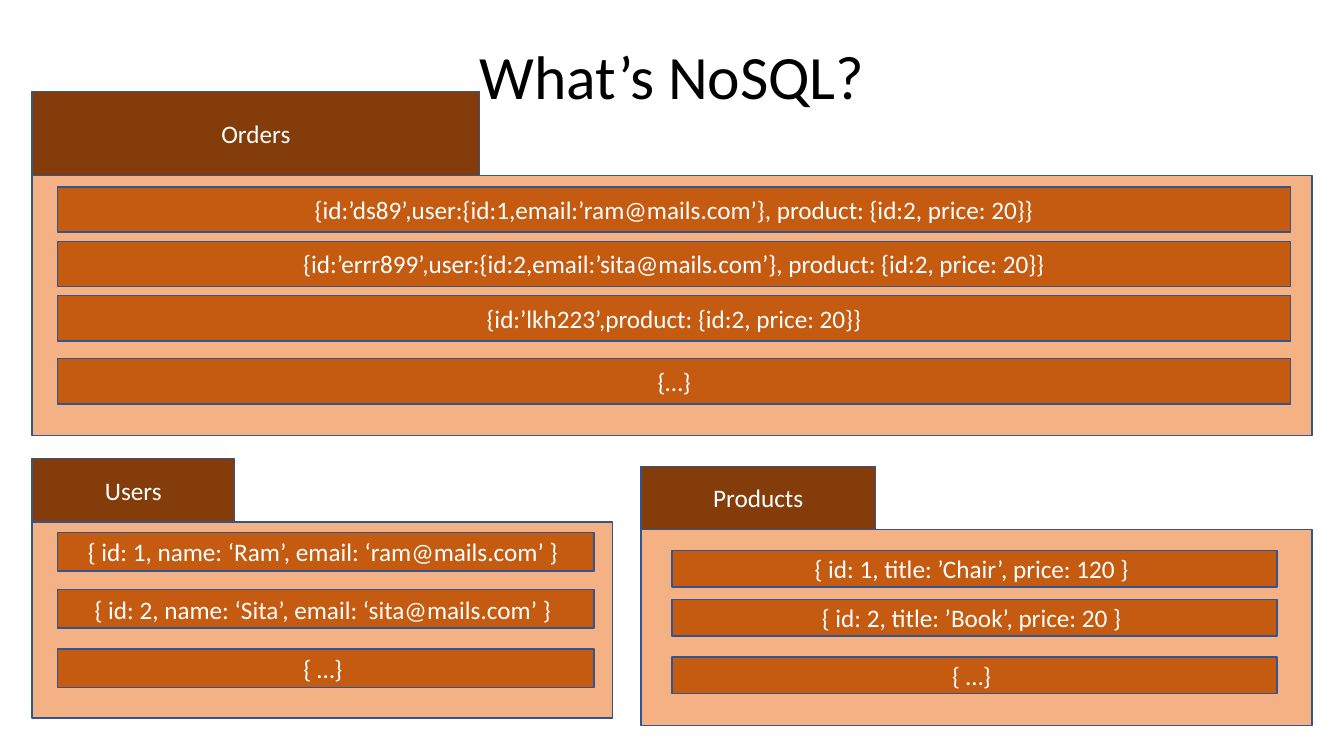
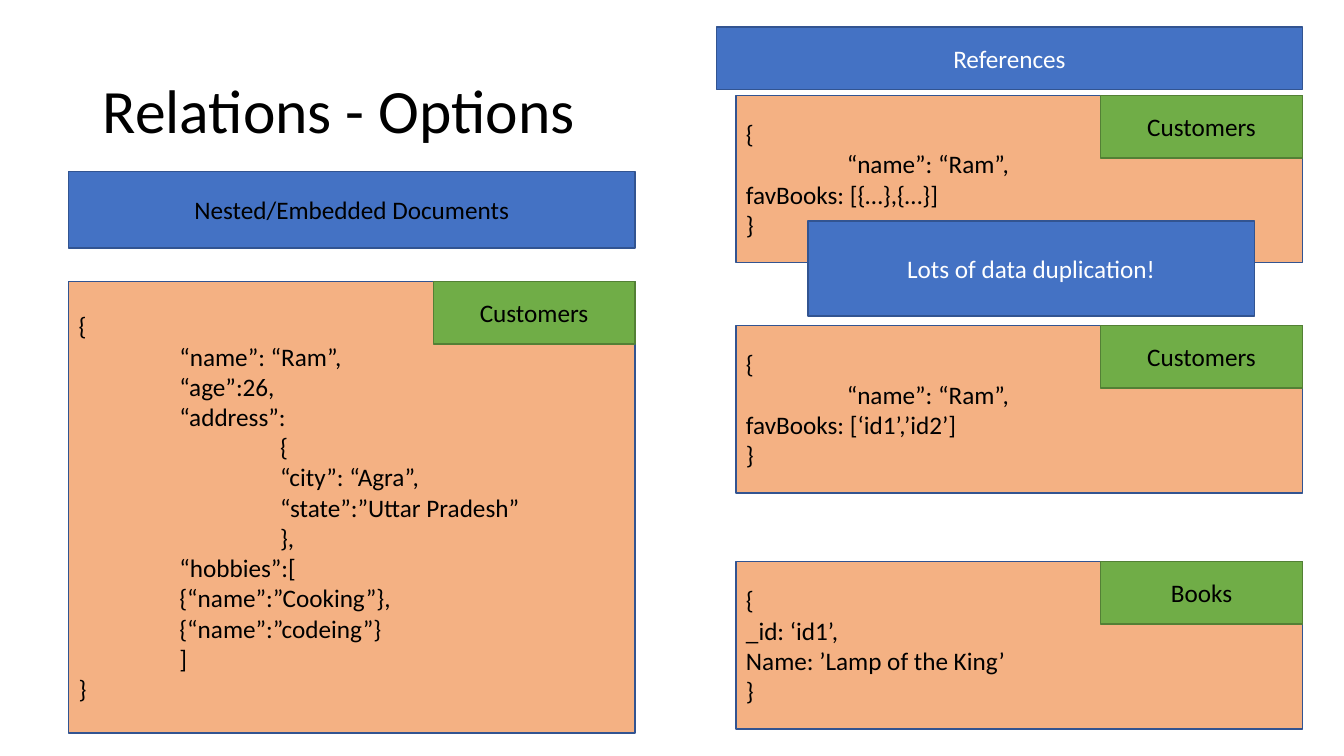
"""Two slides on NoSQL collections and the ways to relate their documents."""
import pptx
import pptx.util
import pptx.dml.color
import pptx.enum.shapes
import pptx.enum.text

Cm = pptx.util.Cm
RGB = pptx.dml.color.RGBColor.from_string
Align = pptx.enum.text.PP_ALIGN
HUES = {
    "dark": "843C0B", "row": "C55A11", "sand": "F4B183", "blue": "4472C4",
    "green": "70AD47", "edge": "325491", "moss": "538035",
    "white": "FFFFFF", "black": "000000",
}

deck = pptx.Presentation()
deck.slide_width, deck.slide_height = Cm(33.87), Cm(19.05)


def box(slide, text, at, fill=None, edge="edge", ink="white", size=18,
        align=Align.CENTER, space=None):
    spot = [Cm(n) for n in at]
    if fill:
        shape = slide.shapes.add_shape(pptx.enum.shapes.MSO_SHAPE.RECTANGLE, *spot)
        shape.shadow.inherit = False
        shape.fill.solid()
        shape.fill.fore_color.rgb = RGB(HUES[fill])
        shape.line.color.rgb = RGB(HUES[edge])
        shape.line.width = pptx.util.Pt(1)
    else:
        shape = slide.shapes.add_textbox(*spot)
    frame = shape.text_frame
    frame.word_wrap = True
    frame.vertical_anchor = pptx.enum.text.MSO_ANCHOR.MIDDLE
    frame.text = text
    for para in frame.paragraphs:
        para.alignment = align
        para.line_spacing = space
        para._p.get_or_add_pPr().set("defTabSz", str(Cm(2.54)))
        for run in para.runs:
            run.font.name = "Calibri"
            run.font.size = pptx.util.Pt(size)
            run.font.color.rgb = RGB(HUES[ink])


def title(slide, text, high, align):
    box(slide, text, (2.34, 1.02, 29.21, high), ink="black", size=44,
        align=align, space=0.9)


slide = deck.slides.add_slide(deck.slide_layouts[6])
groups = [
    ("Orders", (0.81, 2.31, 11.28, 2.11), (32.26, 6.55), (1.45, 31.08, 1.14), [
        (4.71, "{id:’ds89’,user:{id:1,email:’ram@mails.com’}, product: {id:2, price: 20}}"),
        (6.08, "{id:’errr899’,user:{id:2,email:’sita@mails.com’}, product: {id:2, price: 20}}"),
        (7.45, "{id:’lkh223’,product: {id:2, price: 20}}"),
        (9.04, "{…}")]),
    ("Users", (0.81, 11.56, 5.1, 1.59), (14.62, 4.94), (1.45, 13.52, 0.97), [
        (13.42, "{ id: 1, name: ‘Ram’, email: ‘ram@mails.com’ } "),
        (14.86, "{ id: 2, name: ‘Sita’, email: ‘sita@mails.com’ } "),
        (16.35, "{ …} ")]),
    ("Products", (16.15, 11.75, 5.92, 1.59), (16.92, 4.94), (16.94, 15.24, 0.92), [
        (13.87, "{ id: 1, title: ’Chair’, price: 120 } "),
        (15.11, "{ id: 2, title: ’Book’, price: 20 } "),
        (16.56, "{ …} ")]),
]
for name, head, body, (left, wide, high), rows in groups:
    box(slide, name, head, "dark")
    box(slide, "", (head[0], head[1] + head[3], *body), "sand")
    for top, text in rows:
        box(slide, text, (left, top, wide, high), "row")
title(slide, "What’s NoSQL?", 1.98, Align.CENTER)

slide = deck.slides.add_slide(deck.slide_layouts[6])
title(slide, "Relations - Options", 3.68, Align.LEFT)
nested = """{
\t“name”: “Ram”,
\t“age”:26,
\t“address”:
\t\t{
\t\t“city”: “Agra”,
\t\t“state”:”Uttar Pradesh”
\t\t},
\t“hobbies”:[
\t{“name”:”Cooking”},
\t{“name”:”codeing”}
\t]
}"""
cards = [
    ("Customers", 1.73, 7.09, 11.38, nested),
    ("Customers", 18.55, 2.4, 4.22, "{\n\t“name”: “Ram”,\nfavBooks: [{…},{…}]\n}"),
    ("Customers", 18.55, 8.2, 4.22, "{\n\t“name”: “Ram”,\nfavBooks: [‘id1’,’id2’]\n}"),
    ("Books", 18.55, 14.15, 4.22, "{\n_id: ‘id1’,\nName: ’Lamp of the King’\n}"),
]
for name, left, top, high, text in cards:
    box(slide, text, (left, top, 14.27, high), "sand", ink="black", align=Align.LEFT)
    box(slide, name, (left + 9.19, top, 5.08, 1.58), "green", edge="moss", ink="black")

bars = [
    ("Nested/Embedded Documents", (1.73, 4.32, 14.27, 1.93), "black"),
    ("References", (18.06, 0.68, 14.76, 1.58), "white"),
    ("Lots of data duplication!", (20.36, 5.57, 11.25, 2.39), "white"),
]
for text, at, ink in bars:
    box(slide, text, at, "blue", ink=ink)

deck.save("out.pptx")
